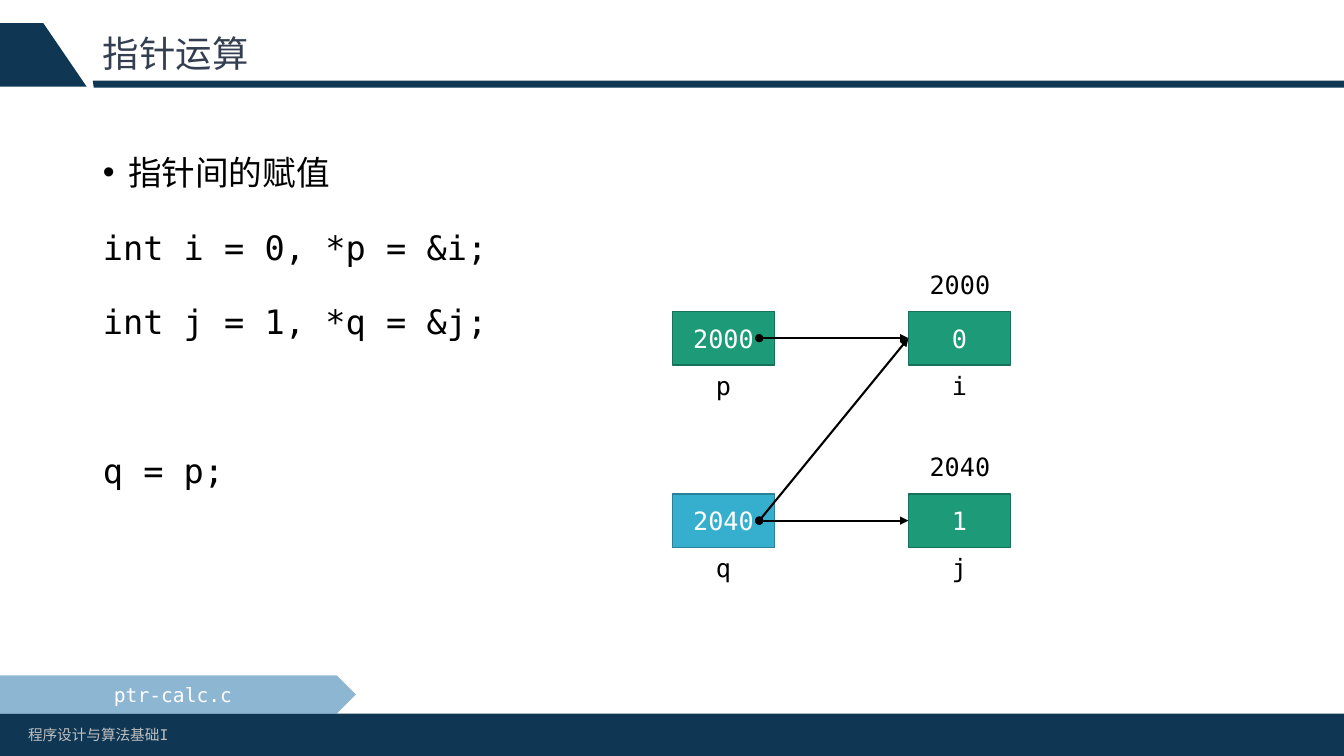
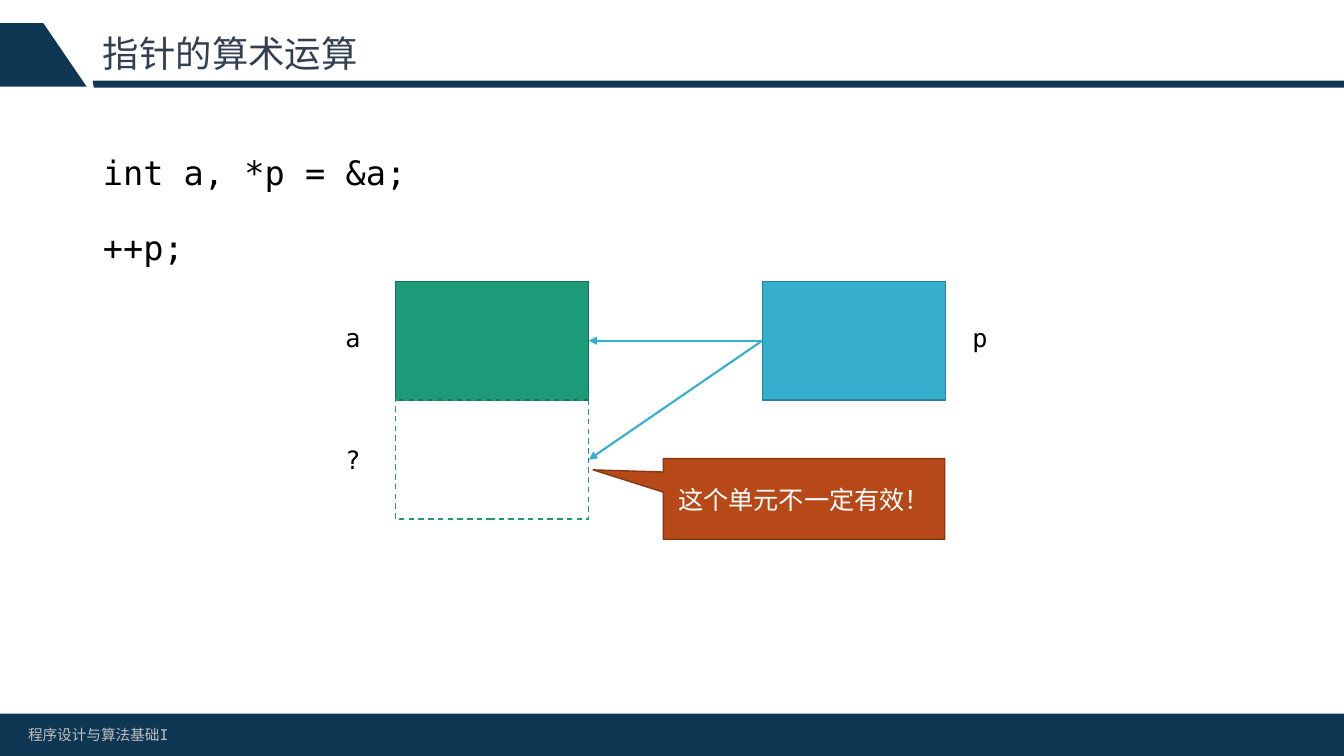
from lxml import etree
from pptx import Presentation
from pptx import util as u
from pptx.dml.color import RGBColor
from pptx.enum import dml, shapes, text
from pptx.oxml.ns import qn

FONT = "DejaVu Sans Mono"
BLACK, WHITE, NAVY = "000000", "FFFFFF", "0F3754"
TITLE, FOOTER = "333F50", "BFBFBF"
GREEN, GREEN_EDGE = "1D9A78", "157259"
BLUE, BLUE_EDGE = "36AFCE", "288198"
RUST, RUST_EDGE = "B74919", "873612"
TAG = "1D6FA9"
RECT = shapes.MSO_SHAPE.RECTANGLE
LEFT, CENTER, JUSTIFY = (
    text.PP_ALIGN.LEFT, text.PP_ALIGN.CENTER, text.PP_ALIGN.JUSTIFY)
LEFT_SIDE, RIGHT_SIDE = 1, 3


def px(n):
    """Convert px (100 to the inch) to EMU."""
    return u.Emu(n * 9144)


def rgb(value):
    return RGBColor.from_string(value)


def write(p, string, size=18, color=BLACK, align=CENTER, line=None, before=0):
    p.alignment = align
    p.space_before = u.Pt(before)
    if line:
        p.line_spacing = line
    r = p.add_run()
    r.text = string
    r.font.size = u.Pt(size)
    r.font.name = FONT
    r.font.color.rgb = rgb(color)


def paint(sp, fill=None, edge=None):
    sp.shadow.inherit = False
    if fill:
        sp.fill.solid()
        sp.fill.fore_color.rgb = rgb(fill)
    else:
        sp.fill.background()
    if edge:
        sp.line.color.rgb = rgb(edge)
        sp.line.width = u.Pt(1)
    else:
        sp.line.fill.background()
    return sp


def add_box(parent, box, fill=None, edge=None, string="", size=18, kind=RECT):
    sp = parent.shapes.add_shape(kind, *map(px, box))
    paint(sp, fill, edge)
    if string:
        tf = sp.text_frame
        tf.word_wrap = True
        tf.vertical_anchor = text.MSO_ANCHOR.MIDDLE
        write(tf.paragraphs[0], string, size, WHITE)
    return sp


def add_label(parent, box, string, **fmt):
    tf = parent.shapes.add_textbox(*map(px, box)).text_frame
    tf.word_wrap = True
    tf.auto_size = text.MSO_AUTO_SIZE.SHAPE_TO_FIT_TEXT
    write(tf.paragraphs[0], string, **fmt)


def add_outline(slide, points, fill):
    builder = slide.shapes.build_freeform(*points[0], scale=px(1))
    builder.add_line_segments(points[1:], close=True)
    return paint(builder.convert_to_shape(), fill)


def add_cell(slide, x, y, value, name, address=None, fill=GREEN,
             edge=GREEN_EDGE):
    """Draw a variable's memory cell with its name and address; return the box."""
    group = slide.shapes.add_group_shape()
    box = add_box(group, (x, y, 101, 53), fill, edge, value)
    add_label(group, (x + 31, y + 53, 39, 40), name)
    if address:
        add_label(group, (x + 7, y - 47, 88, 40), address)
    return box


def add_arrow(slide, src, dst, side, color, inset=None):
    """Point from src to a side of dst, starting at src's left or inset px in."""
    start = src.left + px(inset or 0), src.top + src.height // 2
    line = slide.shapes.add_connector(
        shapes.MSO_CONNECTOR.STRAIGHT, *start, *start)
    if inset is None:
        line.begin_connect(src, LEFT_SIDE)
    line.end_connect(dst, side)
    line.line.color.rgb = rgb(color)
    line.line.width = u.Pt(1.5)
    props = line.element.spPr
    ln = props.find(qn("a:ln"))
    if inset is not None:
        etree.SubElement(ln, qn("a:headEnd"), type="oval")
    etree.SubElement(ln, qn("a:tailEnd"), type="triangle")
    etree.SubElement(props, qn("a:effectLst"))


def set_bullet(p, char=None, indent=0):
    props = p._p.get_or_add_pPr()
    props.set("marL", str(px(indent)))
    props.set("indent", str(-px(indent)))
    if char:
        etree.SubElement(props, qn("a:buChar"), char=char)
    else:
        etree.SubElement(props, qn("a:buNone"))


def prepare_layout(layout):
    title, body, *extras = layout.placeholders
    for ph in extras:
        ph.element.getparent().remove(ph.element)
    for ph, (x, y, w, h) in ((title, (92, 23, 1150, 64)),
                             (body, (92, 126, 1150, 543))):
        ph.left, ph.top, ph.width, ph.height = map(px, (x, y, w, h))


def move_frame_to_layout(slide):
    """Draw the shared bands and footer, then hand them to the layout."""
    add_outline(slide, [(92, 80), (1333, 80), (1333, 87), (93, 87)], NAVY)
    add_outline(slide, [(43, 23), (86, 86), (0, 86), (0, 23)], NAVY)
    add_box(slide, (0, 708, 1333, 42), NAVY)
    add_label(slide, (18, 715, 432, 29), "程序设计与算法基础I",
              size=10.5, color=FOOTER, align=LEFT)
    for sp in list(slide.shapes):
        if not sp.is_placeholder:
            slide.slide_layout.shapes.element.append(sp.element)


def add_slide(prs, title, lines):
    """Add a slide; lines holds (text, bullet, space before) triples."""
    slide = prs.slides.add_slide(prs.slide_layouts[1])
    heading, body = slide.placeholders
    tf = heading.text_frame
    tf.vertical_anchor = text.MSO_ANCHOR.MIDDLE
    write(tf.paragraphs[0], title, 26, TITLE, LEFT, 0.9)
    tf = body.text_frame
    tf.auto_size = text.MSO_AUTO_SIZE.NONE
    for i, (string, bullet, before) in enumerate(lines):
        p = tf.add_paragraph() if i else tf.paragraphs[0]
        set_bullet(p, bullet, 25 if bullet else 0)
        write(p, string, 24, align=JUSTIFY, line=1.5, before=before)
    return slide


def draw_assignment(slide):
    left, right, upper, lower = 667, 901, 309, 490
    p = add_cell(slide, left, upper, "2000", "p")
    i = add_cell(slide, right, upper, "0", "i", "2000")
    q = add_cell(slide, left, lower, "2040", "q", fill=BLUE, edge=BLUE_EDGE)
    j = add_cell(slide, right, lower, "1", "j", "2040")
    for src, dst in ((p, i), (q, j), (q, i)):
        add_arrow(slide, src, dst, LEFT_SIDE, BLACK, inset=86)
    tag = add_box(slide, (0, 670, 353, 38), TAG, string="ptr-calc.c", size=14,
                  kind=shapes.MSO_SHAPE.PENTAGON)
    color = tag.element.spPr.find(qn("a:solidFill"))[0]
    etree.SubElement(color, qn("a:alpha"), val="50000")


def draw_increment(slide):
    top, height = 279, 118
    a = add_box(slide, (392, top, 192, height), GREEN, GREEN_EDGE)
    unknown = add_box(slide, (392, top + height, 192, height), edge=GREEN)
    unknown.line.dash_style = dml.MSO_LINE.DASH
    p = add_box(slide, (756, top, 182, height), BLUE, BLUE_EDGE)
    for x, y, name in ((315, 315, "a"), (937, 315, "p"), (315, 436, "?")):
        add_label(slide, (x, y, 70, 40), name)
    for dst in (a, unknown):
        add_arrow(slide, p, dst, RIGHT_SIDE, BLUE)
    callout = add_box(slide, (658, 455, 279, 80), RUST, RUST_EDGE,
                      "这个单元不一定有效！",
                      kind=shapes.MSO_SHAPE.RECTANGULAR_CALLOUT)
    callout.adjustments[0] = -0.75
    callout.adjustments[1] = -0.36


def main():
    prs = Presentation()
    prs.slide_width, prs.slide_height = px(1333), px(750)
    prepare_layout(prs.slide_layouts[1])
    slide = add_slide(prs, "指针运算", [
        ("指针间的赋值", "•", 0),
        ("int i = 0, *p = &i;", None, 10),
        ("int j = 1, *q = &j;", None, 10),
        ("q = p;", None, 63)])
    move_frame_to_layout(slide)
    draw_assignment(slide)
    slide = add_slide(prs, "指针的算术运算", [
        ("int a, *p = &a;", None, 0),
        ("++p;", None, 10)])
    draw_increment(slide)
    prs.save("out.pptx")


if __name__ == "__main__":
    main()
